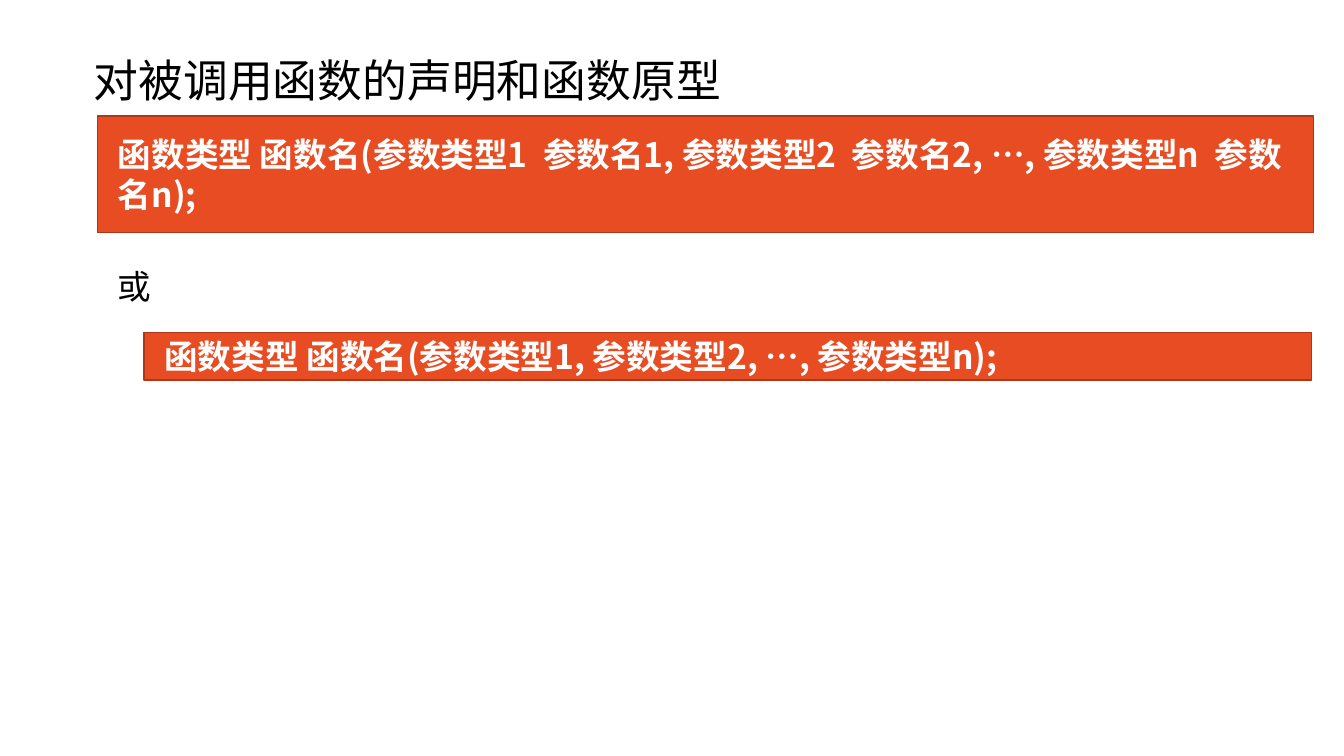
"""Build a slide on declaring called functions and function prototypes."""
from lxml.etree import SubElement
from pptx import Presentation
from pptx.dml.color import RGBColor
from pptx.enum.shapes import MSO_SHAPE
from pptx.enum.text import MSO_ANCHOR, MSO_AUTO_SIZE, PP_ALIGN
from pptx.oxml.ns import qn
from pptx.util import Inches, Pt

FONT = "Noto Sans CJK SC"
BLACK = RGBColor(0x00, 0x00, 0x00)
WHITE = RGBColor(0xFF, 0xFF, 0xFF)
ORANGE = RGBColor(0xE8, 0x4C, 0x22)
RUST = RGBColor(0xAC, 0x38, 0x19)


def write_text(frame, text, size, color, bold=False, align=PP_ALIGN.LEFT):
    """Fill a text frame with one styled paragraph."""
    paragraph = frame.paragraphs[0]
    paragraph.text = text
    paragraph.alignment = align
    font = paragraph.font
    font.name = FONT
    font.size = Pt(size)
    font.bold = bold
    font.color.rgb = color
    properties = paragraph._p.pPr.find(qn("a:defRPr"))
    SubElement(properties, qn("a:ea")).set("typeface", FONT)
    return paragraph


def add_label(slide, text, left, top, width, height, size, align=PP_ALIGN.LEFT):
    """Add a plain black text box and return its frame."""
    box = slide.shapes.add_textbox(
        Inches(left), Inches(top), Inches(width), Inches(height))
    frame = box.text_frame
    frame.word_wrap = True
    write_text(frame, text, size, BLACK, align=align)
    return frame


def add_prototype(slide, text, left, top, width, height):
    """Add an orange bar holding a function prototype."""
    bar = slide.shapes.add_shape(
        MSO_SHAPE.RECTANGLE,
        Inches(left), Inches(top), Inches(width), Inches(height))
    bar.shadow.inherit = False
    bar.fill.solid()
    bar.fill.fore_color.rgb = ORANGE
    bar.line.color.rgb = RUST
    bar.line.width = Pt(1)
    frame = bar.text_frame
    frame.word_wrap = True
    frame.vertical_anchor = MSO_ANCHOR.MIDDLE
    frame.margin_left = Inches(0.2)
    write_text(frame, text, 24, WHITE, bold=True)


def main():
    """Create and save the slide."""
    presentation = Presentation()
    presentation.slide_width = Inches(13.33)
    presentation.slide_height = Inches(7.5)
    slide = presentation.slides.add_slide(presentation.slide_layouts[6])

    title = add_label(slide, "对被调用函数的声明和函数原型", 0.83, 0.1, 11.5, 1.45, 32)
    title.vertical_anchor = MSO_ANCHOR.MIDDLE
    title.paragraphs[0].line_spacing = 0.9

    add_prototype(
        slide,
        "函数类型 函数名(参数类型1  参数名1, 参数类型2  参数名2, …, 参数类型n  参数名n);",
        0.97, 1.15, 12.06, 1.16)
    add_prototype(
        slide, "函数类型 函数名(参数类型1, 参数类型2, …, 参数类型n);",
        1.43, 3.3, 11.58, 0.47)

    alternative = add_label(slide, "或", 1.07, 2.59, 0.48, 0.5, 24, PP_ALIGN.CENTER)
    alternative.auto_size = MSO_AUTO_SIZE.SHAPE_TO_FIT_TEXT

    presentation.save("out.pptx")


if __name__ == "__main__":
    main()
